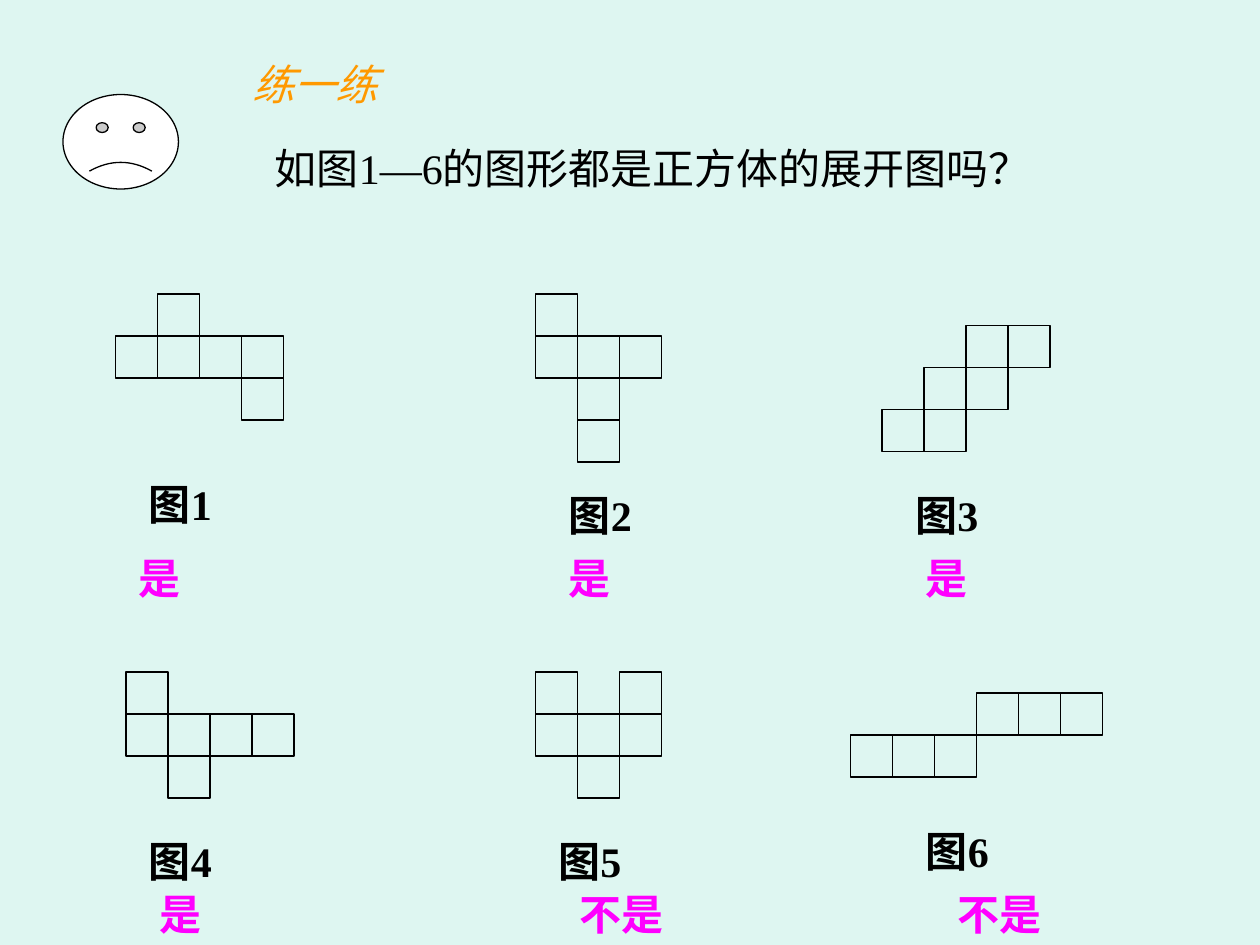
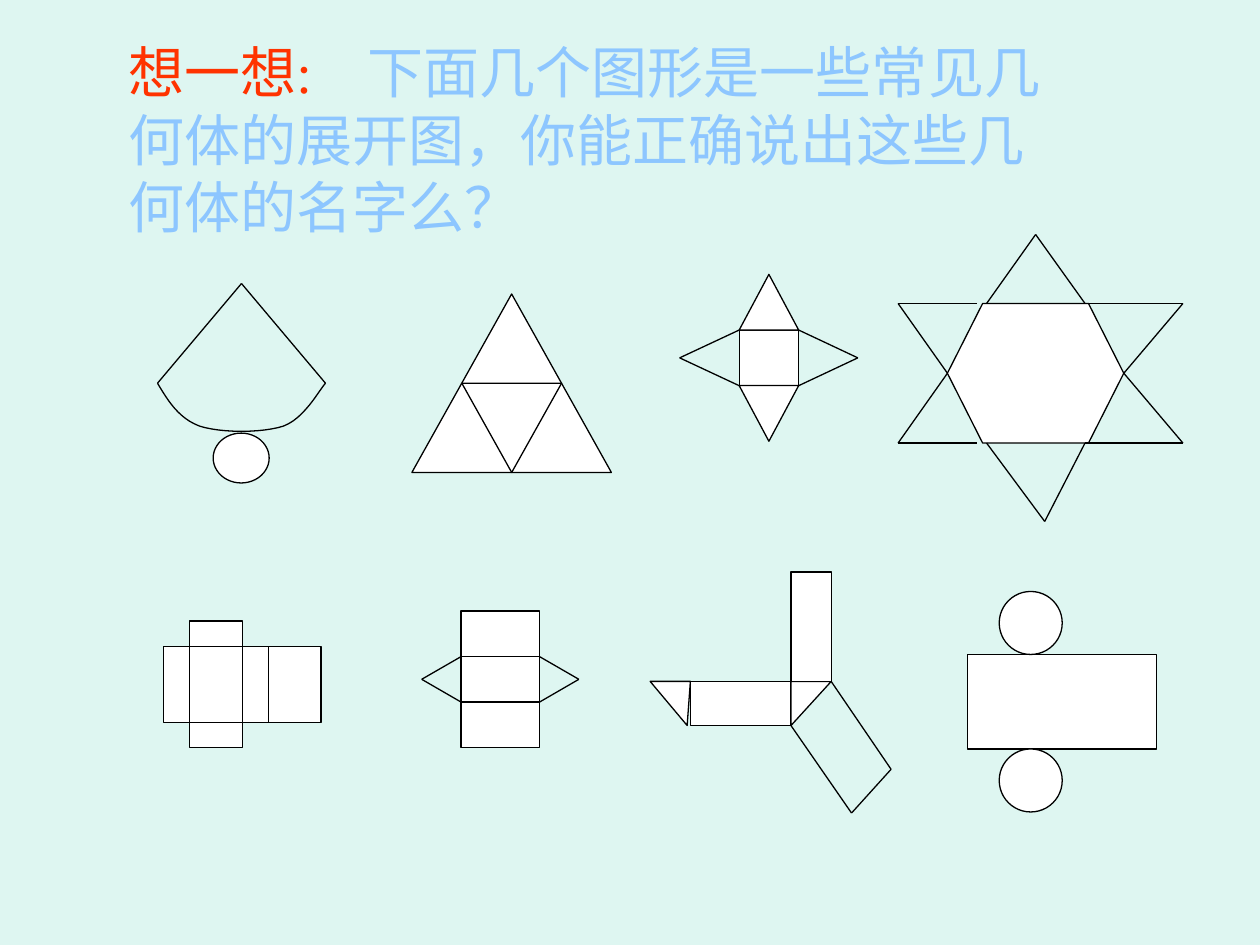
"""Build two slides of exercises on the nets of solids."""
from dataclasses import dataclass
from typing import Any, NamedTuple

from lxml import etree
from pptx import Presentation
from pptx.dml.color import RGBColor
from pptx.enum.shapes import MSO_CONNECTOR, MSO_SHAPE
from pptx.enum.text import MSO_ANCHOR, MSO_AUTO_SIZE, PP_ALIGN
from pptx.oxml.ns import qn
from pptx.util import Pt

RECT = MSO_SHAPE.RECTANGLE
OVAL = MSO_SHAPE.OVAL
PEAK = MSO_SHAPE.ISOSCELES_TRIANGLE
WEDGE = MSO_SHAPE.RIGHT_TRIANGLE
HEX = MSO_SHAPE.FLOWCHART_PREPARATION
FACE = MSO_SHAPE.SMILEY_FACE
STRAIGHT = MSO_CONNECTOR.STRAIGHT
TOP = MSO_ANCHOR.TOP
FIXED = MSO_AUTO_SIZE.NONE
LEFT = PP_ALIGN.LEFT
CENTER = PP_ALIGN.CENTER

Point = tuple[float, float]


@dataclass(frozen=True)
class Theme:
    """Colours, fonts and sizes shared by the slides."""
    back: str = "DEF6F1"
    ink: str = "000000"
    paper: str = "FFFFFF"
    orange: str = "FF9900"
    red: str = "FF3300"
    blue: str = "8DC6FF"
    pink: str = "FF00FF"
    serif: str = "Times New Roman"
    sans: str = "Noto Sans CJK SC"
    body: float = 24
    head: float = 32
    line: float = 0.75
    cell: float = 24


THEME = Theme()


class Box(NamedTuple):
    """A place on the slide, in points."""
    left: float
    top: float
    width: float
    height: float


class Run(NamedTuple):
    """A piece of text in one format."""
    text: str
    color: str = THEME.ink
    font: str = THEME.serif
    size: float = THEME.body
    bold: bool = False
    italic: bool = False


class Net(NamedTuple):
    """A net of squares with its label and answer."""
    start: Point
    rows: tuple[str, ...]
    label: Point
    reply: Point
    answer: str


class Form(NamedTuple):
    """A preset shape within a solid's net."""
    kind: Any
    box: Box
    flip: bool = False
    adjust: float | None = None
    fill: str = THEME.paper


@dataclass(frozen=True)
class Solid:
    """The net of a solid: its edges, forms and curve."""
    edges: tuple[tuple[Point, ...], ...] = ()
    forms: tuple[Form, ...] = ()
    curve: tuple[Point, ...] = ()


NETS = (
    Net((66, 168), (".#..", "####", "...#"), (78, 270), (72, 312), "是"),
    Net((306, 168), ("#..", "###", ".#.", ".#."), (318, 276), (318, 312), "是"),
    Net((504, 186), ("..##", ".##.", "##.."), (516, 276), (522, 312), "是"),
    Net((72, 384), ("#...", "####", ".#.."), (78, 474), (84, 504), "是"),
    Net((306, 384), ("#.#", "###", ".#."), (312, 474), (324, 504), "不是"),
    Net((486, 396), ("...###", "###..."), (522, 468), (540, 504), "不是"),
)

CONE = Solid(
    edges=(((90, 219), (138, 162), (186, 219)),),
    forms=(Form(OVAL, Box(121.8, 247.5, 32, 28.5)),),
    curve=((90, 219), (96, 229), (102, 239), (114, 243.5), (126, 247.5),
           (150, 247.5), (162, 243.5), (174, 239), (182, 223.5), (186, 219)),
)
FOUR = Solid(forms=(
    Form(PEAK, Box(235.4, 168, 114, 102)),
    Form(PEAK, Box(263.9, 219, 57, 51), True),
))
PYRAMID = Solid(
    edges=(((456.4, 188.6), (490.2, 204.5), (456.4, 220.4)),
           ((422.4, 188.6), (388.4, 204.5), (422.4, 220.4))),
    forms=(Form(RECT, Box(422.4, 188.6, 34, 31.8)),
           Form(PEAK, Box(422.4, 156.8, 34, 31.8)),
           Form(PEAK, Box(422.4, 220.4, 34, 31.8), True)),
)
STAR = Solid(
    edges=(((558, 173.4), (513.2, 173.4), (541.4, 213.3), (513.2, 253.2), (558, 253.2)),
           ((620, 173.4), (676, 173.4), (642.2, 213.3), (676, 253.2), (620, 253.2)),
           ((563.8, 173.4), (591.8, 134), (620, 173.4)),
           ((563.8, 253.2), (597, 298), (620, 253.2))),
    forms=(Form(HEX, Box(541.4, 173.4, 100.8, 79.8)),),
)
BLOCK = Solid(
    forms=(Form(RECT, Box(93.5, 369.3, 90, 43.4)),
           *(Form(RECT, Box(108.5, y, 30, 14.4)) for y in (354.9, 412.7))),
    edges=tuple(((x, 369.3), (x, 412.7)) for x in (108.5, 138.5, 153.5)),
)
PRISM = Solid(
    edges=(((308.3, 375.2), (330.8, 388.2), (308.3, 401.2)),
           ((263.5, 375.2), (241, 388.2), (263.5, 401.2))),
    forms=tuple(Form(RECT, Box(263.5, 349.2 + 26 * i, 44.8, 26)) for i in range(3)),
)
FAN = Solid(
    edges=(((452, 414.6), (486.6, 464.6), (509.2, 439.6), (475, 389.4)),),
    forms=(Form(RECT, Box(394.5, 389.4, 57.5, 25.2)),
           Form(WEDGE, Box(452, 389.4, 23, 25.2), True),
           Form(PEAK, Box(371.5, 389.4, 23, 25.2), True, 0.92),
           Form(RECT, Box(452, 326.8, 23, 62.6))),
)
DRUM = Solid(forms=(
    Form(RECT, Box(553, 374, 108, 54)),
    *(Form(OVAL, Box(571, y, 36, 36)) for y in (338, 428)),
))
SOLIDS = (CONE, FOUR, PYRAMID, STAR, BLOCK, PRISM, FAN, DRUM)


def assign(target: Any, values: dict[str, Any]) -> None:
    """Set each named value on the target."""
    for name, value in values.items():
        setattr(target, name, value)


def write(shape: Any, runs: tuple[Run, ...], align: Any = LEFT, tab: float = 0) -> None:
    """Fill a shape with one paragraph of runs."""
    frame = shape.text_frame
    assign(frame, {
        "word_wrap": True, "auto_size": FIXED, "vertical_anchor": TOP,
        "margin_left": Pt(7.2), "margin_right": Pt(7.2),
        "margin_top": Pt(3.6), "margin_bottom": Pt(3.6),
    })
    para = frame.paragraphs[0]
    para.alignment = align
    if tab:
        stops = etree.SubElement(para._p.get_or_add_pPr(), qn("a:tabLst"))
        etree.SubElement(stops, qn("a:tab"), pos=str(Pt(tab)), algn="l")
    for item in runs:
        run = para.add_run()
        run.text = item.text
        assign(run.font, {"name": item.font, "size": Pt(item.size),
                          "bold": item.bold, "italic": item.italic})
        run.font.color.rgb = RGBColor.from_string(item.color)
        etree.SubElement(run.font._element, qn("a:ea"), typeface=THEME.sans)


def add_text(slide: Any, box: Box, run: Run) -> None:
    """Add a text box with one run."""
    write(slide.shapes.add_textbox(*map(Pt, box)), (run,))


def set_title(slide: Any, box: Box, runs: tuple[Run, ...], **style: Any) -> None:
    """Move and fill the title placeholder."""
    title = slide.shapes.title
    assign(title, {name: Pt(value) for name, value in box._asdict().items()})
    write(title, runs, **style)


def stroke(shape: Any) -> None:
    """Give a shape or line the shared thin outline."""
    shape.line.color.rgb = RGBColor.from_string(THEME.ink)
    shape.line.width = Pt(THEME.line)


def add_form(shapes: Any, form: Form) -> None:
    """Draw one preset shape."""
    shape = shapes.add_shape(form.kind, *map(Pt, form.box))
    shape.shadow.inherit = False
    shape.fill.solid()
    shape.fill.fore_color.rgb = RGBColor.from_string(form.fill)
    stroke(shape)
    if form.adjust is not None:
        shape.adjustments[0] = form.adjust
    if form.flip:
        shape.element.spPr.find(qn("a:xfrm")).set("flipV", "1")


def add_edge(shapes: Any, start: Point, end: Point) -> None:
    """Draw one straight line."""
    line = shapes.add_connector(STRAIGHT, *map(Pt, (*start, *end)))
    stroke(line)
    etree.SubElement(line.element.spPr, qn("a:effectLst"))


def bend(knots: tuple[Point, ...], t: float) -> Point:
    """Return the point at t on a cubic curve."""
    s = 1 - t
    rates = (s ** 3, 3 * s * s * t, 3 * s * t * t, t ** 3)
    x, y = (sum(r * k[i] for r, k in zip(rates, knots)) for i in (0, 1))
    return x, y


def add_curve(shapes: Any, knots: tuple[Point, ...], steps: int = 12) -> None:
    """Draw joined cubic curves as an open outline."""
    dots = [bend(knots[i:i + 4], n / steps)
            for i in range(0, len(knots) - 1, 3) for n in range(1, steps + 1)]
    pen = shapes.build_freeform(*map(Pt, knots[0]))
    pen.add_line_segments([(Pt(x), Pt(y)) for x, y in dots], close=False)
    shape = pen.convert_to_shape()
    shape.shadow.inherit = False
    shape.fill.background()
    stroke(shape)


def add_net(slide: Any, count: int, net: Net) -> None:
    """Draw a net of squares, its label and its answer."""
    shapes = slide.shapes.add_group_shape().shapes
    side = THEME.cell
    for row, marks in enumerate(net.rows):
        for col, mark in enumerate(marks):
            if mark == "#":
                box = Box(net.start[0] + col * side, net.start[1] + row * side, side, side)
                add_form(shapes, Form(RECT, box, fill=THEME.back))
    add_text(slide, Box(*net.label, 120, 36), Run(f"图{count}", bold=True))
    add_text(slide, Box(*net.reply, 96, 36), Run(net.answer, THEME.pink, bold=True))


def add_solid(slide: Any, solid: Solid) -> None:
    """Draw the net of a solid as one group."""
    shapes = slide.shapes.add_group_shape().shapes
    for form in solid.forms:
        add_form(shapes, form)
    for edge in solid.edges:
        for start, end in zip(edge, edge[1:]):
            add_edge(shapes, start, end)
    if solid.curve:
        add_curve(shapes, solid.curve)


def draw_cubes(slide: Any) -> None:
    """Build the slide that asks which nets fold into a cube."""
    set_title(slide, Box(108, 30, 144, 36),
              (Run("练一练", THEME.orange, THEME.sans, italic=True),), align=CENTER)
    add_form(slide.shapes, Form(FACE, Box(36, 54, 66, 54), adjust=-0.05))
    add_text(slide, Box(150, 78, 480, 36), Run("如图1—6的图形都是正方体的展开图吗？"))
    for count, net in enumerate(NETS, 1):
        add_net(slide, count, net)


def draw_solids(slide: Any) -> None:
    """Build the slide that asks for the names of the solids."""
    set_title(slide, Box(66, 18, 558, 122), (
        Run("想一想", THEME.red, THEME.sans, THEME.head),
        Run(":\t", THEME.red, THEME.serif, THEME.head),
        Run("下面几个图形是一些常见几何体的展开图，你能正确说出这些几何体的名字么？",
            THEME.blue, THEME.sans, THEME.head),
    ), tab=137)
    for solid in SOLIDS:
        add_solid(slide, solid)


def main() -> None:
    """Build and save the slides."""
    deck = Presentation()
    assign(deck, {"slide_width": Pt(720), "slide_height": Pt(540)})
    back = deck.slide_master.background.fill
    back.solid()
    back.fore_color.rgb = RGBColor.from_string(THEME.back)
    for draw in (draw_cubes, draw_solids):
        draw(deck.slides.add_slide(deck.slide_layouts[5]))
    deck.save("out.pptx")


if __name__ == "__main__":
    main()
